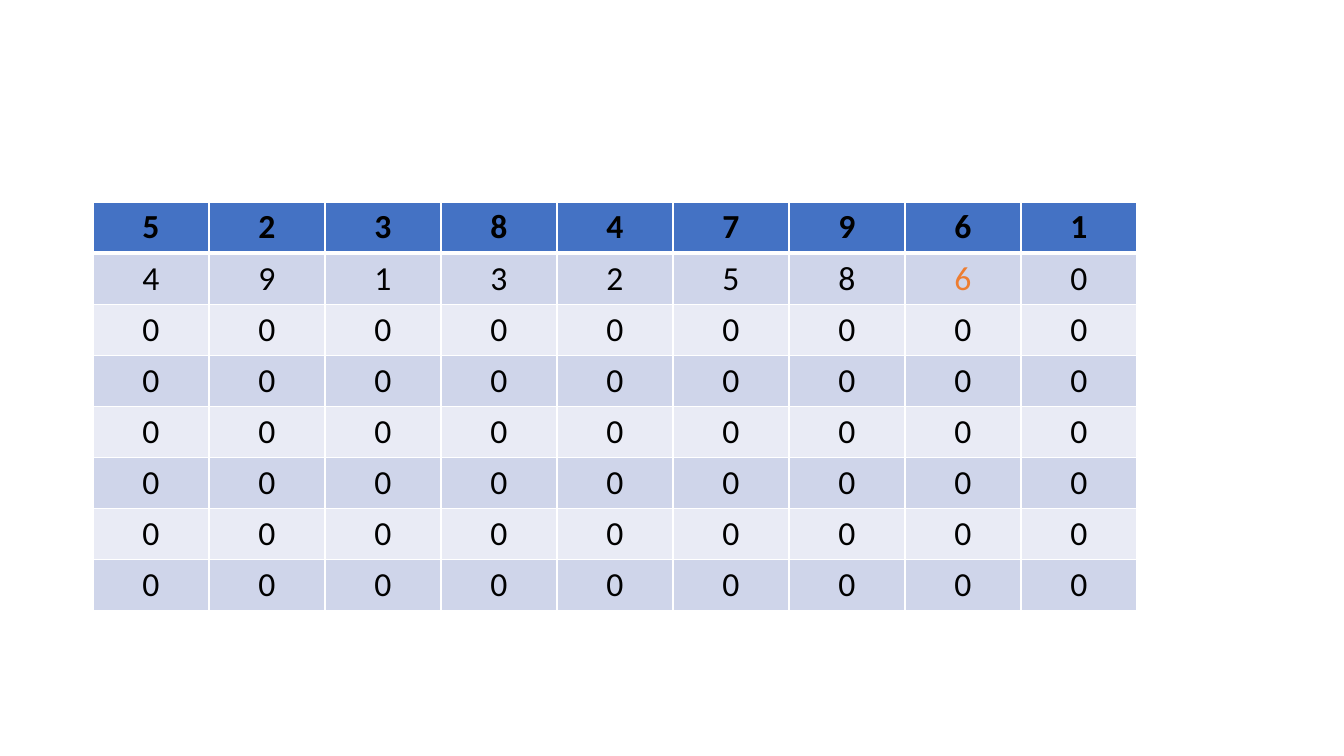
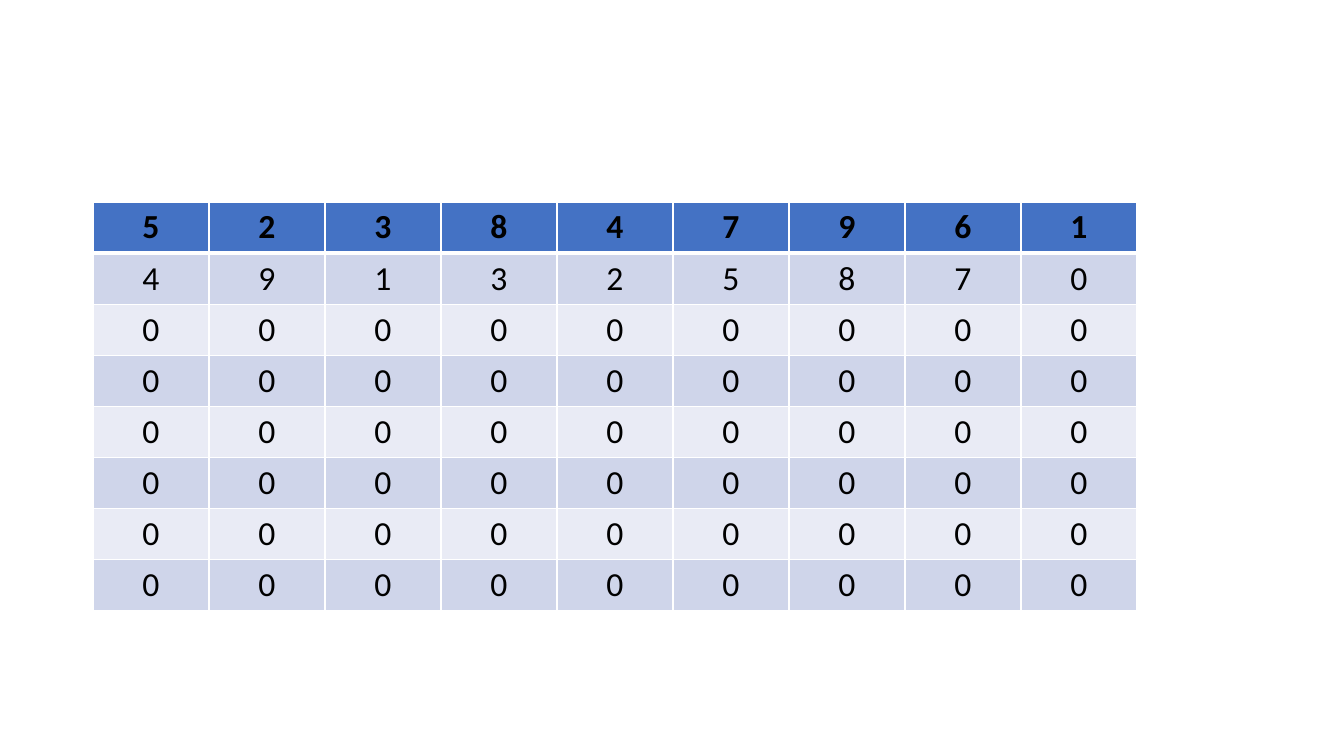
from lxml.etree import SubElement
from pptx import Presentation
from pptx.dml.color import RGBColor
from pptx.enum.text import PP_ALIGN
from pptx.oxml.ns import qn
from pptx.util import Pt

SCALE = 914400 / 100.8
LEFT, TOP, WIDE, HIGH = 93, 202, 116, 51
FONT, SIZE = "Calibri", 24
BLACK, WHITE, ORANGE = "000000", "FFFFFF", "ED7D31"
HEAD, DARK, LIGHT = "4472C4", "CFD5EA", "E9EBF5"
TITLES = "523847961"
ZEROS = ["0" * len(TITLES)] * 6


def px(count):
    """Turn pixels into EMU."""
    return round(count * SCALE)


def hue(code):
    """Turn a hex string into a colour."""
    return RGBColor.from_string(code)


deck = Presentation()
deck.slide_width, deck.slide_height = px(1344), px(756)

# Second row of each slide, and the cells marked in orange
steps = [("491325860", {(1, 7)}), ("491325870", set())]

for values, marks in steps:
    slide = deck.slides.add_slide(deck.slide_layouts[6])
    lines = [TITLES, values, *ZEROS]
    grid = slide.shapes.add_table(
        len(lines), len(TITLES), px(LEFT), px(TOP),
        px(WIDE * len(TITLES)), px(HIGH * len(lines))).table
    for col in grid.columns:
        col.width = px(WIDE)
    for row in grid.rows:
        row.height = px(HIGH)

    for r, line in enumerate(lines):
        fill = HEAD if r == 0 else DARK if r % 2 else LIGHT
        edges = {"L": 1, "R": 1, "T": 3 if r == 1 else 1, "B": 3 if r == 0 else 1}
        for c, digit in enumerate(line):
            cell = grid.cell(r, c)
            props = cell._tc.get_or_add_tcPr()
            for side, width in edges.items():
                edge = SubElement(props, qn(f"a:ln{side}"), w=str(Pt(width)))
                paint = SubElement(edge, qn("a:solidFill"))
                SubElement(paint, qn("a:srgbClr"), val=WHITE)
            cell.fill.solid()
            cell.fill.fore_color.rgb = hue(fill)

            para = cell.text_frame.paragraphs[0]
            para.text = digit
            para.alignment = PP_ALIGN.CENTER
            font = para.runs[0].font
            font.name, font.size, font.bold = FONT, Pt(SIZE), r == 0
            font.color.rgb = hue(ORANGE if (r, c) in marks else BLACK)

deck.save("out.pptx")
